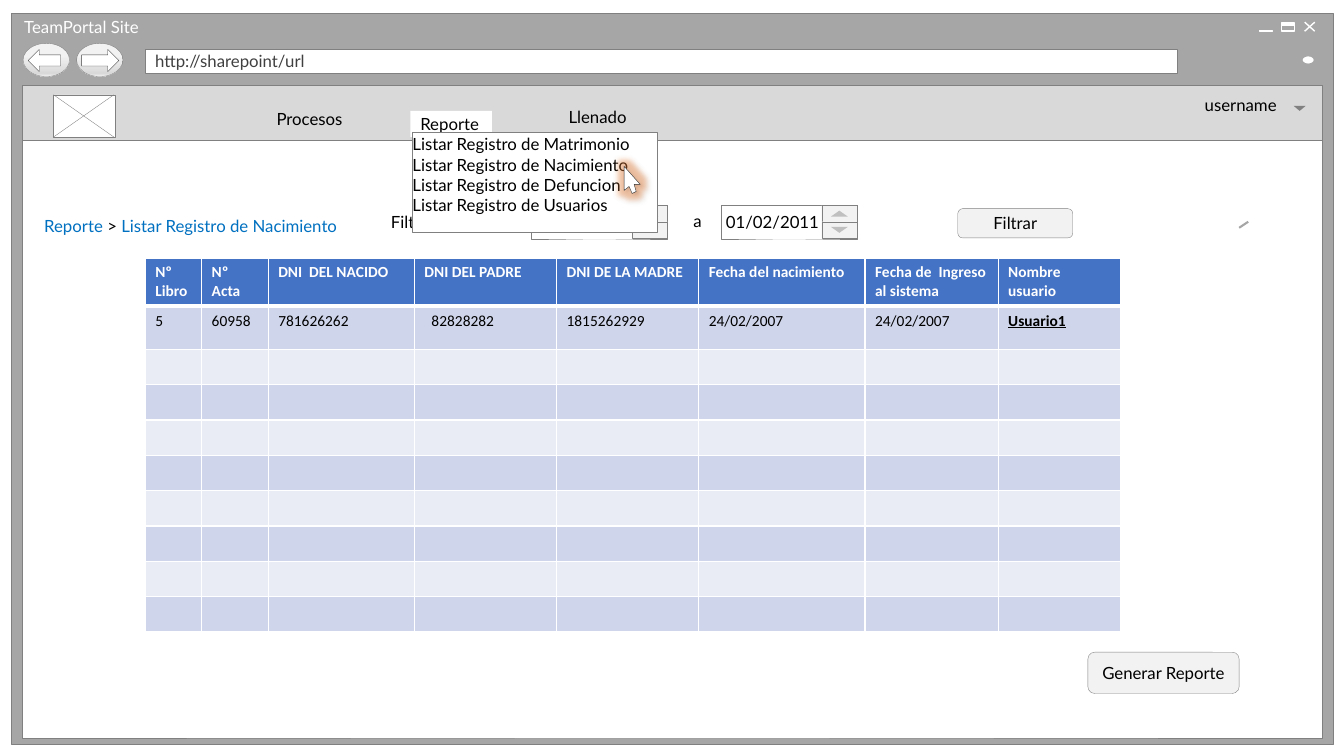
from copy import deepcopy

from lxml import etree
from pptx import Presentation
from pptx.dml.color import RGBColor
from pptx.enum.shapes import MSO_CONNECTOR, MSO_SHAPE
from pptx.enum.text import MSO_ANCHOR, MSO_AUTO_SIZE, PP_ALIGN
from pptx.oxml.ns import qn
from pptx.util import Inches, Pt

RECT, ROUNDED, OVAL = MSO_SHAPE.RECTANGLE, MSO_SHAPE.ROUNDED_RECTANGLE, MSO_SHAPE.OVAL
TRIANGLE = MSO_SHAPE.ISOSCELES_TRIANGLE
BACK, FORWARD = MSO_SHAPE.LEFT_ARROW, MSO_SHAPE.RIGHT_ARROW
STRAIGHT = MSO_CONNECTOR.STRAIGHT
LEFT, CENTER = PP_ALIGN.LEFT, PP_ALIGN.CENTER
TOP, MIDDLE = MSO_ANCHOR.TOP, MSO_ANCHOR.MIDDLE
NO_FIT = MSO_AUTO_SIZE.NONE

WHITE, BLACK, GRAY, FRAME = "FFFFFF", "000000", "808080", "A6A6A6"
PALE, BAR, BLUE = "F2F2F2", "D9D9D9", "0070C0"
LABEL = (0.1, 0.02, 0.1, 0.03)
MENU = (0, 0.02, 0.05, 0.05)


def color(value):
    return RGBColor.from_string(value)


def apply(target, values):
    for name, value in values.items():
        setattr(target, name, value)


class Mockup:
    font = "Lato"
    size = 12

    def __init__(self, slide):
        self.slide = slide
        self.shapes = slide.shapes

    def paint(self, shape, fill=None, line=None, weight=0.25):
        if fill:
            shape.fill.solid()
            shape.fill.fore_color.rgb = color(fill)
        else:
            shape.fill.background()
        if line:
            shape.line.color.rgb = color(line)
            shape.line.width = Pt(weight)
        else:
            shape.line.fill.background()

    def shape(self, kind, box, fill=None, line=None, weight=0.25, rotation=0):
        shape = self.shapes.add_shape(kind, *map(Inches, box))
        shape.shadow.inherit = False
        shape.rotation = rotation
        self.paint(shape, fill, line, weight)
        return shape

    def fill_text(self, shape, lines, margins=LABEL, anchor=MIDDLE, align=LEFT):
        """Each line is a list of (text, color) runs."""
        frame = shape.text_frame
        left, top, right, bottom = map(Inches, margins)
        apply(frame, dict(margin_left=left, margin_top=top, margin_right=right,
                          margin_bottom=bottom, vertical_anchor=anchor,
                          word_wrap=True, auto_size=NO_FIT))
        for index, runs in enumerate(lines):
            paragraph = frame.add_paragraph() if index else frame.paragraphs[0]
            apply(paragraph, dict(alignment=align, space_before=Pt(0)))
            for text, ink in runs:
                self.add_text(paragraph, text, ink)

    def add_text(self, paragraph, text, ink, **style):
        run = paragraph.add_run()
        run.text = text
        apply(run.font, dict(name=self.font, size=Pt(self.size), bold=False) | style)
        run.font.color.rgb = color(ink)

    def label(self, box, *runs, **layout):
        self.fill_text(self.shapes.add_textbox(*map(Inches, box)), [runs], **layout)

    def placeholder(self, holder, box):
        """Places a template placeholder in front of what is drawn so far."""
        names = ("left", "top", "width", "height")
        apply(holder, dict(zip(names, map(Inches, box))))
        holder.element.getparent().append(holder.element)
        return holder

    def line(self, start, end, ink, weight=0.25):
        line = self.shapes.add_connector(STRAIGHT, *map(Inches, start + end))
        line.line.color.rgb = color(ink)
        line.line.width = Pt(weight)
        etree.SubElement(line.element.spPr, qn("a:effectLst"))

    def cross(self, left, top, right, bottom, ink, weight=0.25):
        self.line((left, top), (right, bottom), ink, weight)
        self.line((left, bottom), (right, top), ink, weight)

    def nav_button(self, left, arrow, arrow_box):
        disc = self.shape(OVAL, (left, 0.43, 0.46, 0.33), PALE, GRAY)
        disc.fill.gradient()
        disc.fill.gradient_angle = 270
        stops = disc.element.spPr.find(".//" + qn("a:gsLst"))
        stops.append(deepcopy(stops[0]))
        shades = ((0.36, PALE), (0.91, BAR), (1, PALE))
        for stop, (position, shade) in zip(disc.fill.gradient_stops, shades):
            stop.position = position
            stop.color.rgb = color(shade)
        self.shape(arrow, arrow_box, WHITE, "404040")

    def date_picker(self, left, date):
        top = 2.04
        field = self.shape(RECT, (left, top, 1.35, 0.33), WHITE, GRAY)
        self.fill_text(field, [[(date, BLACK)]], (0.05, 0.05, 0.2, 0.05))
        for step, rotation in ((0, 0), (0.16, 180)):
            self.shape(RECT, (left + 1, top + step, 0.35, 0.16), PALE, GRAY)
            self.shape(TRIANGLE, (left + 1.09, top + step + 0.05, 0.17, 0.06),
                       "BFBFBF", rotation=rotation)

    def button(self, box, text):
        button = self.shape(ROUNDED, box, PALE, GRAY)
        self.fill_text(button, [[(text, BLACK)]], (0.1, 0, 0.1, 0.01), align=CENTER)

    def border(self, side, weight):
        line = etree.Element(qn("a:" + side), w=str(Pt(weight)))
        fill = etree.SubElement(line, qn("a:solidFill"))
        etree.SubElement(fill, qn("a:srgbClr"), val=WHITE)
        return line

    def table(self, box, widths, heights, rows):
        table = self.shapes.add_table(len(heights), len(widths), *map(Inches, box)).table
        for column, width in zip(table.columns, widths):
            column.width = Inches(width)
        for row, height in zip(table.rows, heights):
            row.height = Inches(height)
        for r in range(len(heights)):
            fill = "4472C4" if r == 0 else "CFD5EA" if r % 2 else "E9EBF5"
            below, above = (3 if r == 0 else 1), (3 if r == 1 else 1)
            for c in range(len(widths)):
                cell = table.cell(r, c)
                cell.fill.solid()
                cell.fill.fore_color.rgb = color(fill)
                sides = (("lnL", 1), ("lnR", 1), ("lnT", above), ("lnB", below))
                for index, (side, weight) in enumerate(sides):
                    cell._tc.get_or_add_tcPr().insert(index, self.border(side, weight))
                paragraph = cell.text_frame.paragraphs[0]
                if r < len(rows):
                    user = r == 1 and c == len(widths) - 1
                    self.add_text(paragraph, rows[r][c], BLACK if r else WHITE, name="Calibri",
                                  size=Pt(11), bold=r == 0 or user, underline=user)
                else:
                    etree.SubElement(paragraph._p, qn("a:endParaRPr"), sz="1100")
        return table

    def cursor(self, points):
        start, *rest = [tuple(map(Inches, point)) for point in points]
        outline = self.shapes.build_freeform(*start)
        outline.add_line_segments(rest)
        cursor = outline.convert_to_shape()
        self.paint(cursor, WHITE, "262626")
        effects = etree.SubElement(cursor.element.spPr, qn("a:effectLst"))
        shadow = dict(blurRad=str(Pt(2)), dist=str(Pt(2)), dir=str(34 * 60000))
        for kind, values, ink, alpha in (("glow", dict(rad=str(Pt(8))), "ED7D31", 40),
                                         ("outerShdw", shadow, BLACK, 20)):
            effect = etree.SubElement(effects, qn("a:" + kind), **values)
            tint = etree.SubElement(effect, qn("a:srgbClr"), val=ink)
            etree.SubElement(tint, qn("a:alpha"), val=str(alpha * 1000))


def main():
    deck = Presentation()
    deck.slide_width, deck.slide_height = Inches(13.33), Inches(7.5)
    page = Mockup(deck.slides.add_slide(deck.slide_layouts[1]))

    # Browser window
    page.shape(RECT, (0.11, 0.13, 13.11, 7.25), FRAME, GRAY)
    title = page.placeholder(page.shapes.title, (0.14, 0.15, 1.72, 0.24))
    page.fill_text(title, [[("TeamPortal Site", WHITE)]])
    address = page.shape(RECT, (1.44, 0.49, 10.24, 0.24), WHITE, GRAY)
    page.fill_text(address, [[("http://sharepoint/url", "404040")]])
    page.nav_button(0.23, BACK, (0.28, 0.49, 0.32, 0.22))
    page.nav_button(0.76, FORWARD, (0.81, 0.49, 0.37, 0.22))
    page.cross(12.94, 0.22, 13.04, 0.31, WHITE, 1)
    page.shape(RECT, (12.71, 0.23, 0.13, 0.08), line=WHITE, weight=1)
    for left, top in ((12.71, 0.24), (12.49, 0.3)):
        page.shape(RECT, (left, top, 0.13, 0.01), "919191", WHITE)
    page.shape(RECT, (0.22, 0.9, 12.89, 6.42), WHITE, GRAY)
    page.shape(OVAL, (12.91, 0.55, 0.13, 0.09), WHITE, FRAME, 1.25)

    # Navigation bar
    page.shape(RECT, (0.22, 0.85, 12.89, 0.54), BAR, GRAY)
    page.shape(RECT, (0.53, 0.94, 0.61, 0.42), WHITE, GRAY)
    page.cross(0.53, 0.94, 1.13, 1.36, GRAY)
    page.label((2.45, 1.06, 1.29, 0.27), ("Procesos", BLACK),
               margins=MENU, anchor=TOP, align=CENTER)
    report_tab = page.shape(RECT, (4.07, 1.1, 0.81, 0.26), WHITE)
    page.fill_text(report_tab, [[("Reporte", BLACK)]])
    page.label((5.54, 1.04, 0.81, 0.25), ("Llenado", BLACK))
    page.label((11.85, 0.92, 1.22, 0.24), ("username", BLACK))
    page.shape(TRIANGLE, (12.83, 1.05, 0.12, 0.05), GRAY, rotation=180)

    # Breadcrumb and date filter
    page.label((0.34, 2.12, 3.17, 0.27), ("Reporte ", BLUE), ("> ", BLACK),
               ("Listar Registro de Nacimiento", BLUE), margins=(0.1, 0.02, 0.1, 0.05))
    page.line((12.29, 2.26), (12.38, 2.2), FRAME, 1.5)
    page.date_picker(5.27, "01/02/2011")
    page.label((3.78, 2.08, 1.6, 0.25), ("Filtrar por fecha", BLACK))
    page.label((6.78, 2.07, 0.34, 0.25), ("a", BLACK))
    page.date_picker(7.15, "01/02/2011")
    page.button((9.5, 2.07, 1.14, 0.29), "Filtrar")

    # Birth records
    headers = ("Nº Libro", "Nº Acta", "DNI  DEL NACIDO", "DNI DEL PADRE", "DNI DE LA MADRE",
               "Fecha del nacimiento", "Fecha de  Ingreso al sistema", "Nombre usuario")
    birth = ("5", "60958", "781626262", "82828282", "1815262929",
             "24/02/2007", "24/02/2007", "Usuario1")
    records = page.table((1.44, 2.56, 9.68, 3.7),
                         (0.56, 0.66, 1.45, 1.41, 1.41, 1.65, 1.32, 1.22),
                         [0.47, 0.43] + [0.35] * 8, (headers, birth))
    records.cell(1, 3).margin_left = Inches(0.17)
    page.button((10.79, 6.47, 1.5, 0.41), "Generar Reporte")

    # Open report menu with the pointer
    menu = page.placeholder(page.slide.placeholders[1], (4.09, 1.31, 2.43, 0.99))
    page.paint(menu, WHITE, GRAY)
    registers = ("Matrimonio", "Nacimiento", "Defuncion", "Usuarios")
    page.fill_text(menu, [[(f"Listar Registro de {name}", BLACK)] for name in registers],
                   MENU, TOP)
    for paragraph in menu.text_frame.paragraphs:
        layout = paragraph._p.get_or_add_pPr()
        etree.SubElement(layout, qn("a:buNone"))
        layout.set("marL", "0")
        layout.set("indent", "0")
    page.cursor(((6.19, 1.89), (6.19, 1.65), (6.35, 1.83), (6.29, 1.83),
                 (6.31, 1.9), (6.27, 1.92), (6.24, 1.85)))

    deck.save("out.pptx")


if __name__ == "__main__":
    main()
